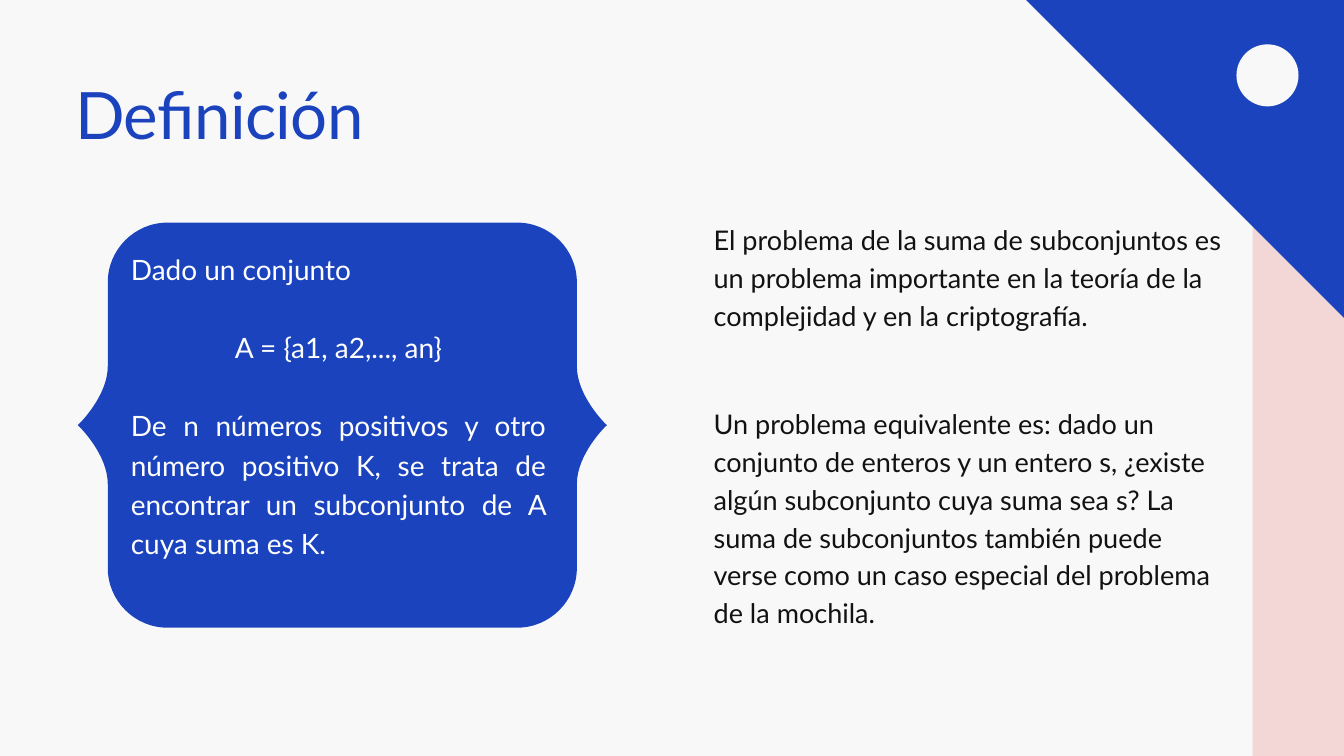
from lxml.etree import SubElement
from pptx import Presentation
from pptx.dml.color import RGBColor
from pptx.enum.shapes import MSO_SHAPE
from pptx.enum.text import MSO_AUTO_SIZE, PP_ALIGN
from pptx.oxml.ns import qn
from pptx.util import Pt

COLORS = {
    "background": "F8F8F8",
    "blue": "1B43BD",
    "pink": "F3D7D6",
    "white": "FFFFFF",
    "ink": "121212",
}
FONT = "Lato"
WIDTH, HEIGHT = 1440, 810


def rgb(name):
    return RGBColor.from_string(COLORS[name])


def paint(sp, color):
    sp.fill.solid()
    sp.fill.fore_color.rgb = rgb(color)
    sp.line.fill.background()
    sp.shadow.inherit = False


def add_preset(s, kind, x, y, w, h, color, rotation=0):
    sp = s.shapes.add_shape(kind, Pt(x), Pt(y), Pt(w), Pt(h))
    sp.rotation = rotation
    paint(sp, color)


def curve_segments(sp, pattern):
    """Turn line segments into cubic curves: C takes three points, L one."""
    segments = iter(list(sp._element.iter(qn("a:lnTo"))))
    for kind in pattern:
        first = next(segments)
        if kind == "C":
            curve = SubElement(first.getparent(), qn("a:cubicBezTo"))
            first.addprevious(curve)
            for segment in (first, next(segments), next(segments)):
                curve.append(segment[0])
                segment.getparent().remove(segment)


def add_frame(s, cx, cy, half_w, half_h, tip, notch, radius, color):
    """Rounded panel with a pointed tip on each side."""
    # One quarter, from the right tip to the bottom edge
    pull = radius * 0.45
    quarter = [
        (tip, 0), (tip - 2, 1.5), (half_w, notch / 2), (half_w, notch),
        (half_w, half_h - radius), (half_w, half_h - pull),
        (half_w - pull, half_h), (half_w - radius, half_h),
    ]
    # Mirror it around the centre
    lower = quarter + [(-x, y) for x, y in reversed(quarter)]
    outline = lower + [(x, -y) for x, y in reversed(lower)][1:]
    points = [(Pt(cx + x), Pt(cy + y)) for x, y in outline]
    builder = s.shapes.build_freeform(*points[0])
    builder.add_line_segments(points[1:], close=True)
    sp = builder.convert_to_shape()
    curve_segments(sp, "CLCLCLC" * 2)
    paint(sp, color)


def add_text(s, paragraphs, x, y, w, h, *, size, color, leading,
             align=PP_ALIGN.LEFT, gap=0, tracking=None):
    """Paragraphs are strings, or (string, alignment) pairs."""
    tf = s.shapes.add_textbox(Pt(x), Pt(y), Pt(w), Pt(h)).text_frame
    tf.word_wrap = True
    tf.auto_size = MSO_AUTO_SIZE.SHAPE_TO_FIT_TEXT
    tf.margin_left = tf.margin_right = tf.margin_top = tf.margin_bottom = 0
    for i, item in enumerate(paragraphs):
        text, p_align = (item, align) if isinstance(item, str) else item
        p = tf.add_paragraph() if i else tf.paragraphs[0]
        p.alignment = p_align
        p.line_spacing = Pt(leading)
        if i:
            p.space_before = Pt(gap)
        r = p.add_run()
        r.text = text
        r.font.name = FONT
        r.font.size = Pt(size)
        r.font.color.rgb = rgb(color)
        if tracking is not None:
            r._r.get_or_add_rPr().set("spc", str(round(tracking * 100)))


def main():
    prs = Presentation()
    prs.slide_width, prs.slide_height = Pt(WIDTH), Pt(HEIGHT)
    s = prs.slides.add_slide(prs.slide_layouts[6])
    s.background.fill.solid()
    s.background.fill.fore_color.rgb = rgb("background")

    # Decoration on the right
    add_preset(s, MSO_SHAPE.RECTANGLE, 1342, 0, WIDTH - 1342, HEIGHT, "pink")
    add_preset(s, MSO_SHAPE.RIGHT_TRIANGLE, 1099.5, 0, 340.5, 340.5, "blue",
               rotation=180)
    add_preset(s, MSO_SHAPE.OVAL, 1324.8, 47.5, 66.5, 66.5, "background")

    # Title
    add_text(s, ["Definición"], 80.6, 86.4, 959, 77.8, size=70, color="blue",
             leading=77, tracking=-0.7)

    # Definition panel
    add_frame(s, 366.8, 455.5, half_w=251.3, half_h=217, tip=283.5, notch=63,
              radius=64, color="blue")
    add_text(s, [
        "Dado un conjunto",
        ("A = {a1, a2,..., an}", PP_ALIGN.CENTER),
        "De n números positivos y otro número positivo K, se trata de "
        "encontrar un subconjunto de A cuya suma es K.",
    ], 140.2, 264.2, 445, 376.6, size=30, color="white", leading=42,
        align=PP_ALIGN.JUSTIFY, gap=42)

    # Notes beside the panel
    notes = [
        (234, 120.2, "El problema de la suma de subconjuntos es un problema "
         "importante en la teoría de la complejidad y en la criptografía."),
        (430.6, 242, "Un problema equivalente es: dado un conjunto de enteros "
         "y un entero s, ¿existe algún subconjunto cuya suma sea s? La suma "
         "de subconjuntos también puede verse como un caso especial del "
         "problema de la mochila."),
    ]
    for y, h, note in notes:
        add_text(s, [note], 764.6, y, 550, h, size=28.99, color="ink",
                 leading=40.59)

    prs.save("out.pptx")


if __name__ == "__main__":
    main()
